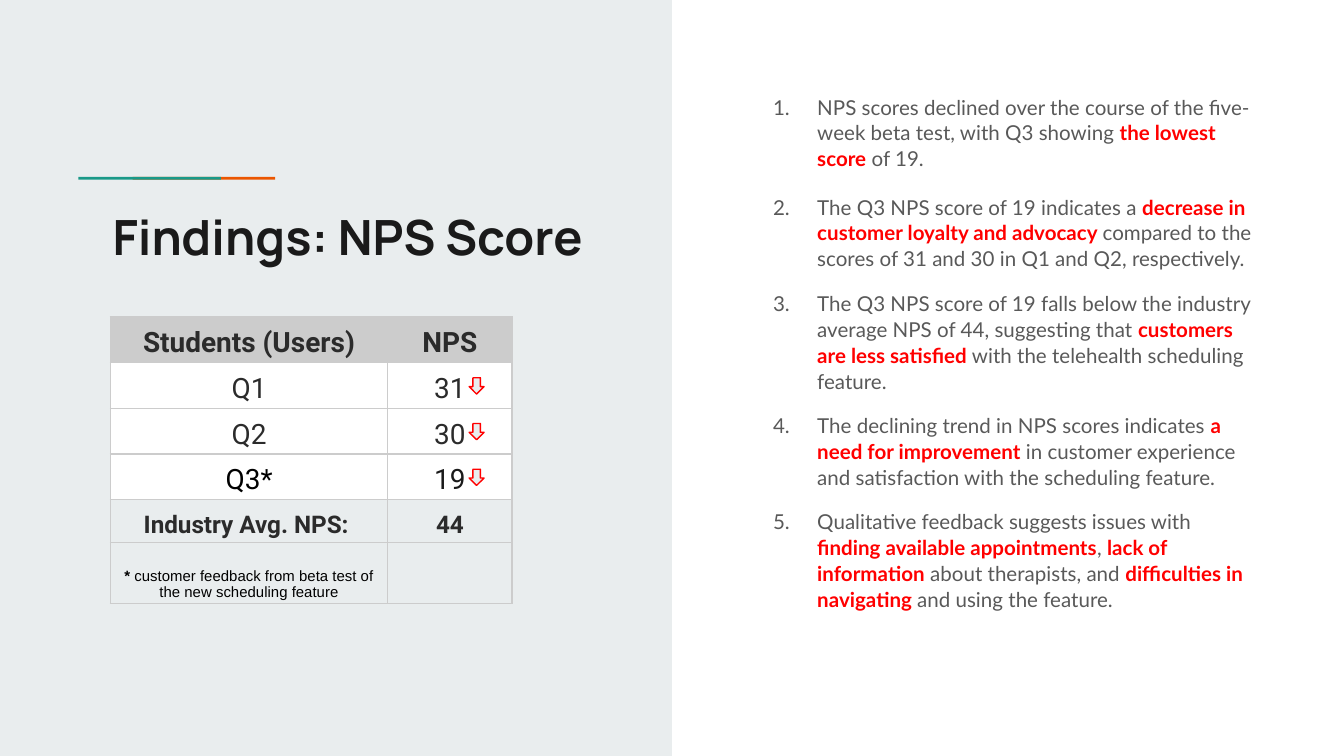
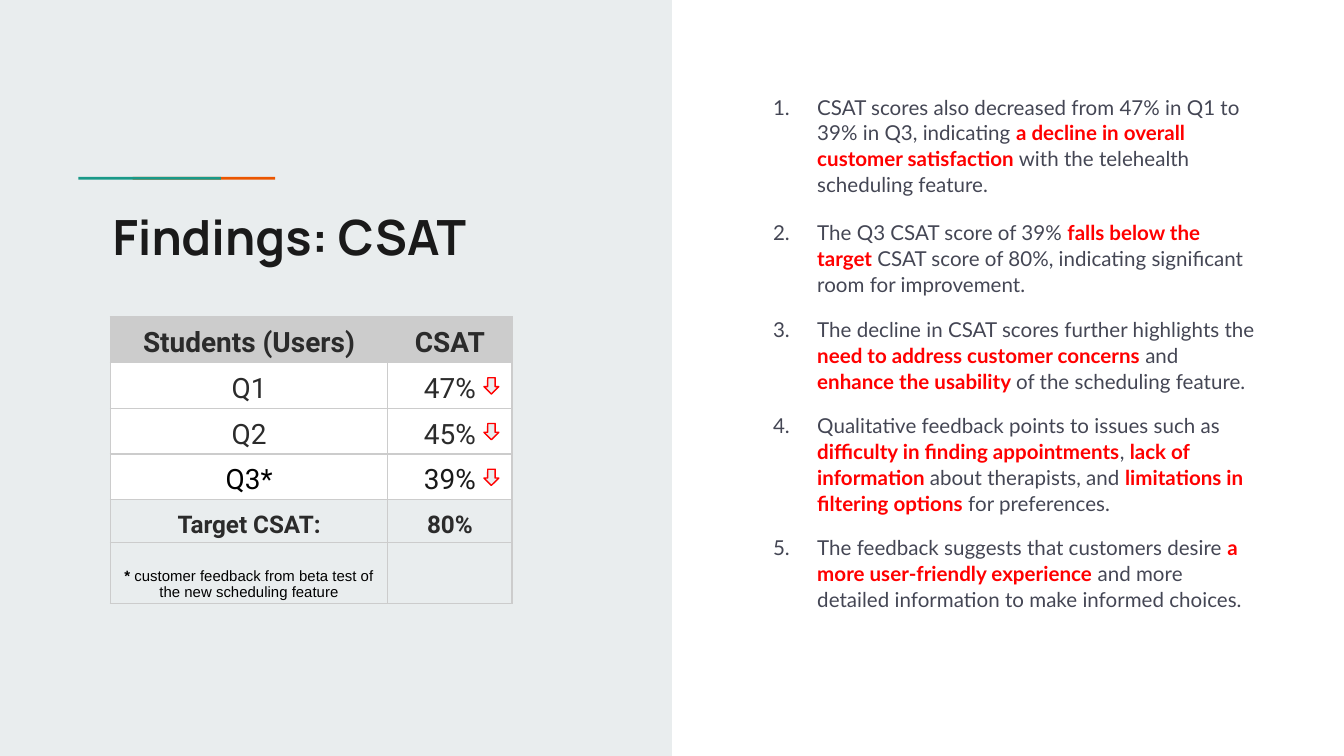
"""Build two findings slides, each with a score table and numbered conclusions."""
from lxml.etree import SubElement
from pptx import Presentation
from pptx.dml.color import RGBColor
from pptx.enum.shapes import MSO_SHAPE as Preset
from pptx.enum.text import MSO_ANCHOR as Anchor, MSO_AUTO_SIZE as AutoSize, PP_ALIGN as Align
from pptx.oxml.ns import qn
from pptx.util import Pt

COLORS = {
    "panel": "E9EDEE", "teal": "1A9988", "orange": "EB5600", "title": "1A1A1A",
    "alert": "FF0000", "header": "CCCCCC", "grid": "CCCCCC", "cell": "FFFFFF",
    "label": "2B2B2B", "black": "000000", "gray": "595959", "slate": "444654",
}
FOOTNOTE = "|*| customer feedback from beta test of the new scheduling feature"
FINDINGS = [
    {
        "title": "Findings: NPS Score",
        "metric": "NPS",
        "scores": ["31", "30", "19"],
        "benchmark": ("Industry Avg. NPS: ", "44"),
        "arrow_left": 251.3,
        "ink": "gray",
        "last_gap": 0,
        "conclusions": [
            "NPS scores declined over the course of the five-week beta test, with Q3 showing |the lowest score| of 19.",
            "The Q3 NPS score of 19 indicates a |decrease in customer loyalty and advocacy |compared to the scores of 31 and 30 in Q1 and Q2, respectively.",
            "The Q3 NPS score of 19 falls below the industry average NPS of 44, suggesting that |customers are less satisfied| with the telehealth scheduling feature.",
            "The declining trend in NPS scores indicates |a need for improvement |in customer experience and satisfaction with the scheduling feature.",
            "Qualitative feedback suggests issues with |finding available appointments|, |lack of information| about therapists, and |difficulties in navigating |and using the feature.",
        ],
    },
    {
        "title": "Findings: CSAT",
        "metric": "CSAT",
        "scores": ["47%", "45%", "39%"],
        "benchmark": ("Target CSAT:", "80%"),
        "arrow_left": 259.2,
        "ink": "slate",
        "last_gap": 12,
        "conclusions": [
            "CSAT scores also decreased from 47% in Q1 to 39% in Q3, indicating |a decline in overall customer satisfaction| with the telehealth scheduling feature.",
            "The Q3 CSAT score of 39% |falls below the target| CSAT score of 80%, indicating significant room for improvement.",
            "The decline in CSAT scores further highlights the |need to address customer concerns |and |enhance the usability |of the scheduling feature.",
            "Qualitative feedback points to issues such as |difficulty in finding appointments|, |lack of information |about therapists, and |limitations in filtering options| for preferences.",
            "The feedback suggests that customers desire |a more user-friendly experience| and more detailed information to make informed choices.",
        ],
    },
]

SLIDE_WIDTH, SLIDE_HEIGHT = 720, 405
BACKDROP = [
    ("panel", (0, 0, 360, SLIDE_HEIGHT)),
    ("orange", (71, 94.7, 76.4, 1.5)),
    ("teal", (42, 94.7, 76.4, 1.5)),
]
TITLE_BOX = (53.1, 103.7, 267.8, 50.4)
BODY_BOX = (394.6, 42.8, 285.1, 319.7)
TABLE_LEFT, TABLE_TOP = 59.1, 169.7
COLUMN_WIDTHS = [148.7, 66.5]
QUARTER_HEIGHT = 24.5
ROW_HEIGHTS = [QUARTER_HEIGHT] * 4 + [23, 32.8]
ARROW_TOP, ARROW_SIZE = 202.4, (8, 8.7)

TITLE_FONT = {"name": "Manrope", "size": Pt(26), "bold": True}
BODY_FONT = {"name": "Lato", "size": Pt(11)}
TABLE_FONT = {"name": "Roboto", "size": Pt(15)}
BENCHMARK_FONT = {"name": "Roboto", "size": Pt(13)}
FOOTNOTE_FONT = {"name": "Arial", "size": Pt(8)}
FRAME_FORMAT = {
    "word_wrap": True, "auto_size": AutoSize.NONE, "vertical_anchor": Anchor.TOP,
    "margin_left": Pt(7.2), "margin_right": Pt(7.2),
    "margin_top": Pt(7.2), "margin_bottom": Pt(7.2),
}
CELL_FORMAT = {
    "vertical_anchor": Anchor.BOTTOM, "margin_left": Pt(2.2), "margin_right": Pt(2.2),
    "margin_top": Pt(1.5), "margin_bottom": Pt(1.5),
}


def rgb(name):
    return RGBColor.from_string(COLORS[name])


def apply(target, formats):
    for attribute, value in formats.items():
        setattr(target, attribute, value)


def place(target, box):
    apply(target, dict(zip(("left", "top", "width", "height"), map(Pt, box))))


def write(paragraph, text, font, ink, strong_ink=None):
    for position, part in enumerate(text.split("|")):
        if part:
            strong = position % 2 == 1
            run = paragraph.add_run()
            run.text = part
            apply(run.font, {"bold": strong, **font})
            run.font.color.rgb = rgb(strong_ink if strong and strong_ink else ink)


def add_preset(slide, preset, box, fill):
    shape = slide.shapes.add_shape(preset, *map(Pt, box))
    shape.shadow.inherit = False
    shape.fill.solid()
    shape.fill.fore_color.rgb = rgb(fill)
    shape.line.fill.background()
    return shape


def move_backdrop_to_layout(slide):
    layout = slide.slide_layout
    for placeholder in list(layout.placeholders):
        if placeholder.placeholder_format.idx >= 10:
            layout.shapes.element.remove(placeholder.element)
    parts = [add_preset(slide, Preset.RECTANGLE, box, fill) for fill, box in BACKDROP]
    for depth, part in enumerate(parts, start=2):
        layout.shapes.element.insert(depth, part.element)


def number(paragraph, ink):
    properties = paragraph._p.get_or_add_pPr()
    properties.set("marL", str(Pt(36)))
    properties.set("indent", str(Pt(-23.7)))
    bullet_color = SubElement(properties, qn("a:buClr"))
    SubElement(bullet_color, qn("a:srgbClr"), val=COLORS[ink])
    SubElement(properties, qn("a:buFont"), typeface=BODY_FONT["name"])
    SubElement(properties, qn("a:buAutoNum"), type="arabicPeriod")


def fill_title(title, text):
    place(title, TITLE_BOX)
    apply(title.text_frame, FRAME_FORMAT)
    heading = title.text_frame.paragraphs[0]
    heading.alignment = Align.LEFT
    write(heading, text, TITLE_FONT, "title")


def fill_body(body, finding):
    place(body, BODY_BOX)
    frame = body.text_frame
    apply(frame, FRAME_FORMAT)
    conclusions = finding["conclusions"]
    for position, conclusion in enumerate(conclusions):
        paragraph = frame.add_paragraph() if position else frame.paragraphs[0]
        last = position == len(conclusions) - 1
        apply(paragraph, {
            "alignment": Align.LEFT, "line_spacing": 1.05,
            "space_before": Pt(12 if position == 1 else 10),
            "space_after": Pt(finding["last_gap"] if last else 0),
        })
        number(paragraph, finding["ink"])
        write(paragraph, conclusion, BODY_FONT, finding["ink"], "alert")


def outline(cell):
    properties = cell._tc.get_or_add_tcPr()
    for depth, side in enumerate(("lnL", "lnR", "lnT", "lnB")):
        border = SubElement(properties, qn(f"a:{side}"), w=str(Pt(0.75)))
        solid = SubElement(border, qn("a:solidFill"))
        SubElement(solid, qn("a:srgbClr"), val=COLORS["grid"])
        properties.insert(depth, border)


def table_rows(finding):
    label, target = finding["benchmark"]
    first, second, third = finding["scores"]
    return [
        (("|Students (Users)", f"|{finding['metric']}"), TABLE_FONT, ("label", "label"), "header"),
        (("Q1", first), TABLE_FONT, ("label", "label"), "cell"),
        (("Q2", second), TABLE_FONT, ("label", "label"), "cell"),
        (("Q3*", third), TABLE_FONT, ("black", "title"), "cell"),
        ((f"|{label}", f"|{target}"), BENCHMARK_FONT, ("label", "label"), None),
        ((FOOTNOTE, ""), FOOTNOTE_FONT, ("black", "black"), None),
    ]


def add_scores(slide, finding):
    box = (TABLE_LEFT, TABLE_TOP, sum(COLUMN_WIDTHS), sum(ROW_HEIGHTS))
    scores = slide.shapes.add_table(len(ROW_HEIGHTS), len(COLUMN_WIDTHS), *map(Pt, box)).table
    apply(scores, {"first_row": False, "horz_banding": False})
    for column, width in zip(scores.columns, COLUMN_WIDTHS):
        column.width = Pt(width)
    for row, height, (texts, font, inks, fill) in zip(scores.rows, ROW_HEIGHTS, table_rows(finding)):
        row.height = Pt(height)
        for cell, text, ink in zip(row.cells, texts, inks):
            apply(cell, CELL_FORMAT)
            if fill:
                cell.fill.solid()
                cell.fill.fore_color.rgb = rgb(fill)
            else:
                cell.fill.background()
            outline(cell)
            paragraph = cell.text_frame.paragraphs[0]
            paragraph.alignment = Align.CENTER
            paragraph.line_spacing = 1.0 if font is FOOTNOTE_FONT else 1.15
            write(paragraph, text, font, ink)


def add_declines(slide, finding):
    for quarter in range(len(finding["scores"])):
        box = (finding["arrow_left"], ARROW_TOP + quarter * QUARTER_HEIGHT, *ARROW_SIZE)
        decline = add_preset(slide, Preset.UP_ARROW, box, "panel")
        decline.rotation = 180.2
        decline.line.color.rgb = rgb("alert")
        decline.line.width = Pt(0.75)


def main():
    deck = Presentation()
    apply(deck, {"slide_width": Pt(SLIDE_WIDTH), "slide_height": Pt(SLIDE_HEIGHT)})
    layout = deck.slide_layouts[1]
    for position, finding in enumerate(FINDINGS):
        slide = deck.slides.add_slide(layout)
        if position == 0:
            move_backdrop_to_layout(slide)
        fill_title(slide.shapes.title, finding["title"])
        fill_body(slide.placeholders[1], finding)
        add_scores(slide, finding)
        add_declines(slide, finding)
    deck.save("out.pptx")


if __name__ == "__main__":
    main()
